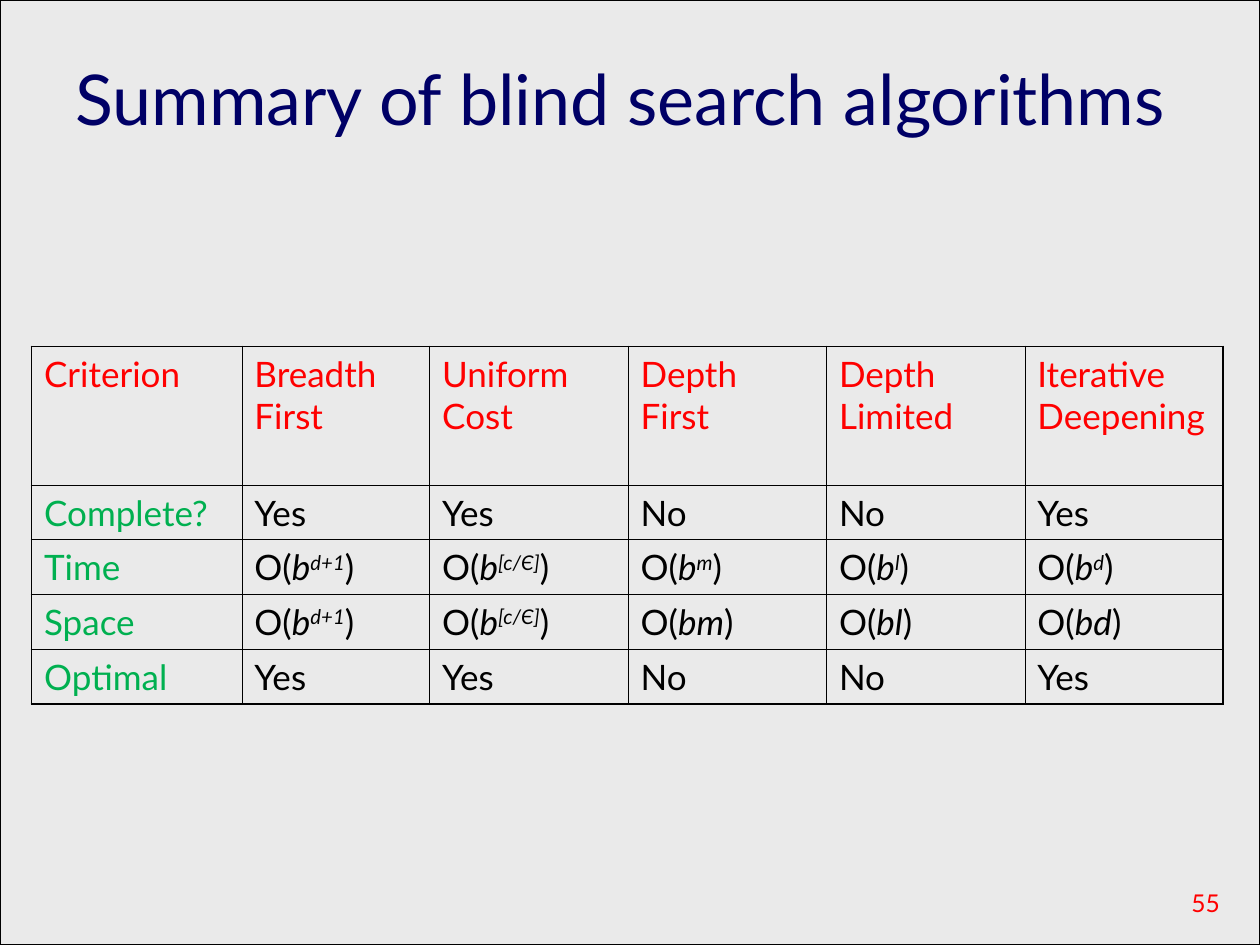
from dataclasses import dataclass
from typing import NamedTuple, Union

import pptx
import pptx.dml.color
import pptx.enum.shapes
import pptx.enum.text
import pptx.oxml
import pptx.oxml.ns
import pptx.util

Align = pptx.enum.text.PP_ALIGN


@dataclass(frozen=True)
class Theme:
    font: str = "Lato"
    background: str = "EAEAEA"
    line: str = "000000"
    title: str = "000066"
    heading: str = "FF0000"
    criterion: str = "00B050"
    body: str = "000000"
    title_size: int = 40
    table_size: int = 20
    number_size: int = 14
    frame_width: float = 0.75
    outer_border: float = 1.08
    inner_border: float = 0.45


class Box(NamedTuple):
    """Left, top, width and height in percent of the slide's size."""
    left: float
    top: float
    width: float
    height: float


class Bound(NamedTuple):
    """A complexity O(base^exponent)."""
    base: str
    exponent: str = ""


@dataclass(frozen=True)
class Label:
    text: str
    box: Box
    size: int
    color: str
    align: Align


Content = Union[str, Bound]
THEME = Theme()
SLIDE_WIDTH = pptx.util.Inches(10)
SLIDE_HEIGHT = pptx.util.Inches(7.5)

LABELS = (
    Label("55", Box(77, 91.07, 20.8, 6.67), THEME.number_size, THEME.heading, Align.RIGHT),
    Label("Summary of blind search algorithms", Box(5, 3.07, 92.8, 12.4),
          THEME.title_size, THEME.title, Align.LEFT),
)

TABLE_BOX = Box(2.5, 36.67, 94.6, 37.6)
COLUMN_SHARES = (16.7, 14.9) + (15.75,) * 4
ROW_SHARES = (14.67,) + (5.73,) * 4
ROWS: tuple[tuple[Content, ...], ...] = (
    ("Criterion", "Breadth\vFirst", "Uniform\vCost", "Depth\vFirst",
     "Depth\vLimited", "Iterative\vDeepening"),
    ("Complete?", "Yes", "Yes", "No", "No", "Yes"),
    ("Time", Bound("b", "d+1"), Bound("b", "[c/Є]"), Bound("b", "m"),
     Bound("b", "l"), Bound("b", "d")),
    ("Space", Bound("b", "d+1"), Bound("b", "[c/Є]"), Bound("bm"),
     Bound("bl"), Bound("bd")),
    ("Optimal", "Yes", "Yes", "No", "No", "Yes"),
)


def across(percent: float) -> int:
    return round(SLIDE_WIDTH * percent / 100)


def down(percent: float) -> int:
    return round(SLIDE_HEIGHT * percent / 100)


def place(box: Box) -> tuple[int, int, int, int]:
    return across(box.left), down(box.top), across(box.width), down(box.height)


def rgb(color: str) -> pptx.dml.color.RGBColor:
    return pptx.dml.color.RGBColor.from_string(color)


def style(paragraph, size: int, color: str) -> None:
    paragraph.font.name = THEME.font
    paragraph.font.size = pptx.util.Pt(size)
    paragraph.font.color.rgb = rgb(color)


def draw_background(slide) -> None:
    shape = slide.shapes.add_shape(
        pptx.enum.shapes.MSO_SHAPE.RECTANGLE, *place(Box(0, 0, 100, 100)))
    shape.shadow.inherit = False
    shape.fill.solid()
    shape.fill.fore_color.rgb = rgb(THEME.background)
    shape.line.color.rgb = rgb(THEME.line)
    shape.line.width = pptx.util.Pt(THEME.frame_width)


def draw_label(slide, label: Label) -> None:
    frame = slide.shapes.add_textbox(*place(label.box)).text_frame
    frame.word_wrap = True
    frame.vertical_anchor = pptx.enum.text.MSO_ANCHOR.BOTTOM
    paragraph = frame.paragraphs[0]
    paragraph.text = label.text
    paragraph.alignment = label.align
    style(paragraph, label.size, label.color)


def write_bound(paragraph, bound: Bound) -> None:
    paragraph.add_run().text = "O("
    base = paragraph.add_run()
    base.text = bound.base
    base.font.italic = True
    if bound.exponent:
        exponent = paragraph.add_run()
        exponent.text = bound.exponent
        exponent.font.italic = True
        exponent.font._element.set("baseline", "30000")
    paragraph.add_run().text = ")"


def set_borders(cell, outer_sides: dict[str, bool]) -> None:
    properties = cell._tc.get_or_add_tcPr()
    for index, (side, outer) in enumerate(outer_sides.items()):
        width = pptx.util.Pt(THEME.outer_border if outer else THEME.inner_border)
        properties.insert(index, pptx.oxml.parse_xml(
            f'<a:ln{side} {pptx.oxml.ns.nsdecls("a")} w="{width}"><a:solidFill>'
            f'<a:srgbClr val="{THEME.line}"/></a:solidFill></a:ln{side}>'))


def cell_color(row: int, column: int) -> str:
    if row == 0:
        return THEME.heading
    return THEME.criterion if column == 0 else THEME.body


def draw_table(slide) -> None:
    row_count, column_count = len(ROWS), len(COLUMN_SHARES)
    table = slide.shapes.add_table(row_count, column_count, *place(TABLE_BOX)).table
    table.first_row = False
    table.horz_banding = False
    for column, share in zip(table.columns, COLUMN_SHARES):
        column.width = across(share)
    for row, share in zip(table.rows, ROW_SHARES):
        row.height = down(share)

    for row, contents in enumerate(ROWS):
        for column, content in enumerate(contents):
            cell = table.cell(row, column)
            paragraph = cell.text_frame.paragraphs[0]
            if isinstance(content, Bound):
                write_bound(paragraph, content)
            else:
                paragraph.text = content
            style(paragraph, THEME.table_size, cell_color(row, column))
            cell.fill.background()
            set_borders(cell, {"L": column == 0, "R": column == column_count - 1,
                               "T": row == 0, "B": row == row_count - 1})


def main() -> None:
    presentation = pptx.Presentation()
    presentation.slide_width = SLIDE_WIDTH
    presentation.slide_height = SLIDE_HEIGHT
    slide = presentation.slides.add_slide(presentation.slide_layouts[6])

    # Framed background
    draw_background(slide)
    # Slide number and title
    for label in LABELS:
        draw_label(slide, label)
    # Comparison of the algorithms
    draw_table(slide)

    presentation.save("out.pptx")


if __name__ == "__main__":
    main()
